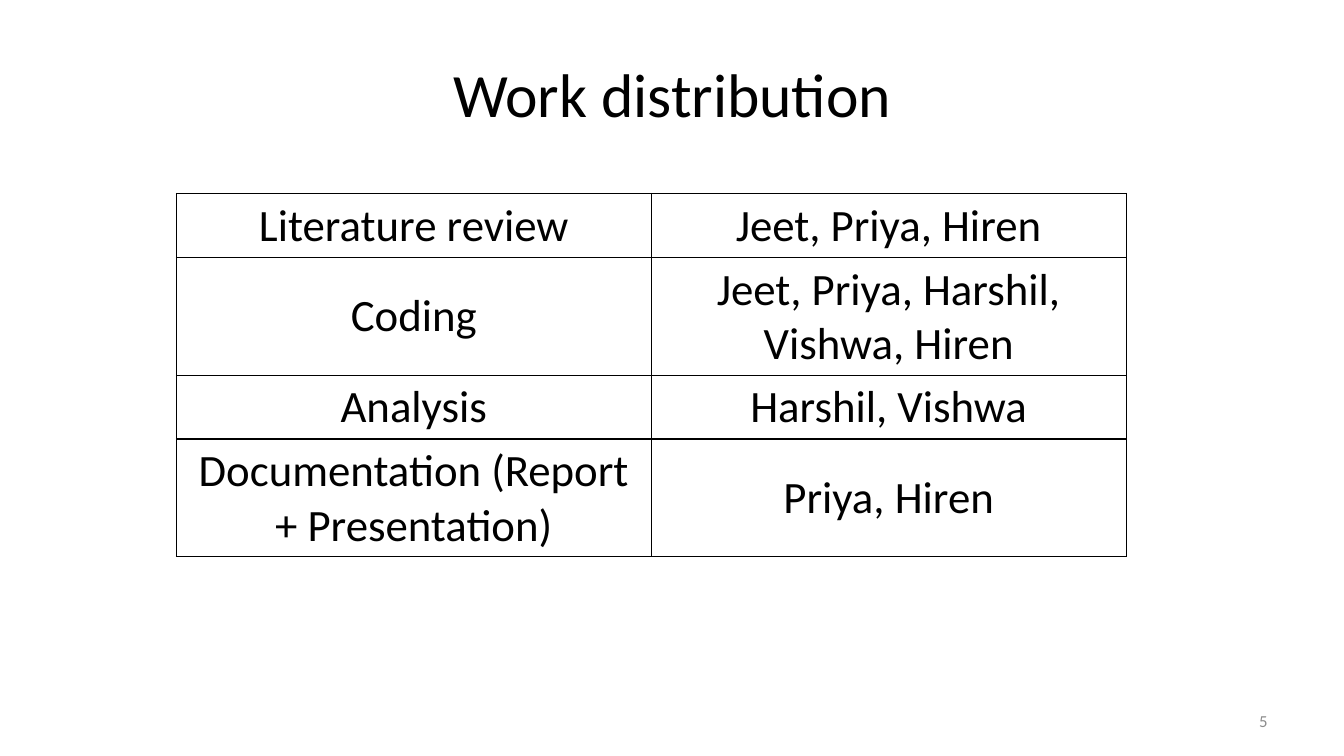
from lxml import etree
from pptx import Presentation
from pptx import util as u
from pptx.dml.color import RGBColor
from pptx.enum import text
from pptx.oxml.ns import qn

BLACK = RGBColor(0x00, 0x00, 0x00)
GREY = RGBColor(0x8C, 0x8C, 0x8C)
CENTER, RIGHT = text.PP_ALIGN.CENTER, text.PP_ALIGN.RIGHT
MIDDLE = text.MSO_ANCHOR.MIDDLE


def write(frame, words, size, color=BLACK, align=CENTER):
    """Put one formatted paragraph into a text frame."""
    frame.word_wrap = True
    para = frame.paragraphs[0]
    para.alignment = align
    span = para.add_run()
    span.text = words
    for name, value in {"name": "Calibri", "size": u.Pt(size)}.items():
        setattr(span.font, name, value)
    span.font.color.rgb = color


def outline(cell):
    """Draw a thin black line on all four sides of a cell."""
    properties = cell._tc.get_or_add_tcPr()
    for position, side in enumerate(("a:lnL", "a:lnR", "a:lnT", "a:lnB")):
        line = etree.Element(qn(side), w=str(u.Pt(1)))
        fill = etree.SubElement(line, qn("a:solidFill"))
        etree.SubElement(fill, qn("a:srgbClr"), val=str(BLACK))
        properties.insert(position, line)


deck = Presentation()
deck.slide_width, deck.slide_height = u.Inches(13.33), u.Inches(7.5)
page = deck.slides.add_slide(deck.slide_layouts[6])

# Title and page number
labels = [
    ("Work distribution", (0.67, 0.3, 12, 1.25), 44, BLACK, CENTER),
    ("5", (9.56, 6.95, 3.11, 0.4), 12, GREY, RIGHT),
]
for words, place, size, color, align in labels:
    box = page.shapes.add_textbox(*map(u.Inches, place))
    box.text_frame.vertical_anchor = MIDDLE
    write(box.text_frame, words, size, color, align)

# Tasks and the people who do them; rows grow to fit their text
tasks = [
    ("Literature review", "Jeet, Priya, Hiren"),
    ("Coding", "Jeet, Priya, Harshil, Vishwa, Hiren"),
    ("Analysis", "Harshil, Vishwa"),
    ("Documentation (Report + Presentation)", "Priya, Hiren"),
]
ROW_HEIGHT = 0.41
table = page.shapes.add_table(
    len(tasks), 2, u.Inches(1.75), u.Inches(1.92),
    u.Inches(9.42), u.Inches(ROW_HEIGHT * len(tasks))).table
for name in ("first_row", "horz_banding"):
    setattr(table, name, False)
for row, task in zip(table.rows, tasks):
    for cell, words in zip(row.cells, task):
        cell.fill.background()
        cell.vertical_anchor = MIDDLE
        write(cell.text_frame, words, 32)
        outline(cell)

deck.save("out.pptx")
